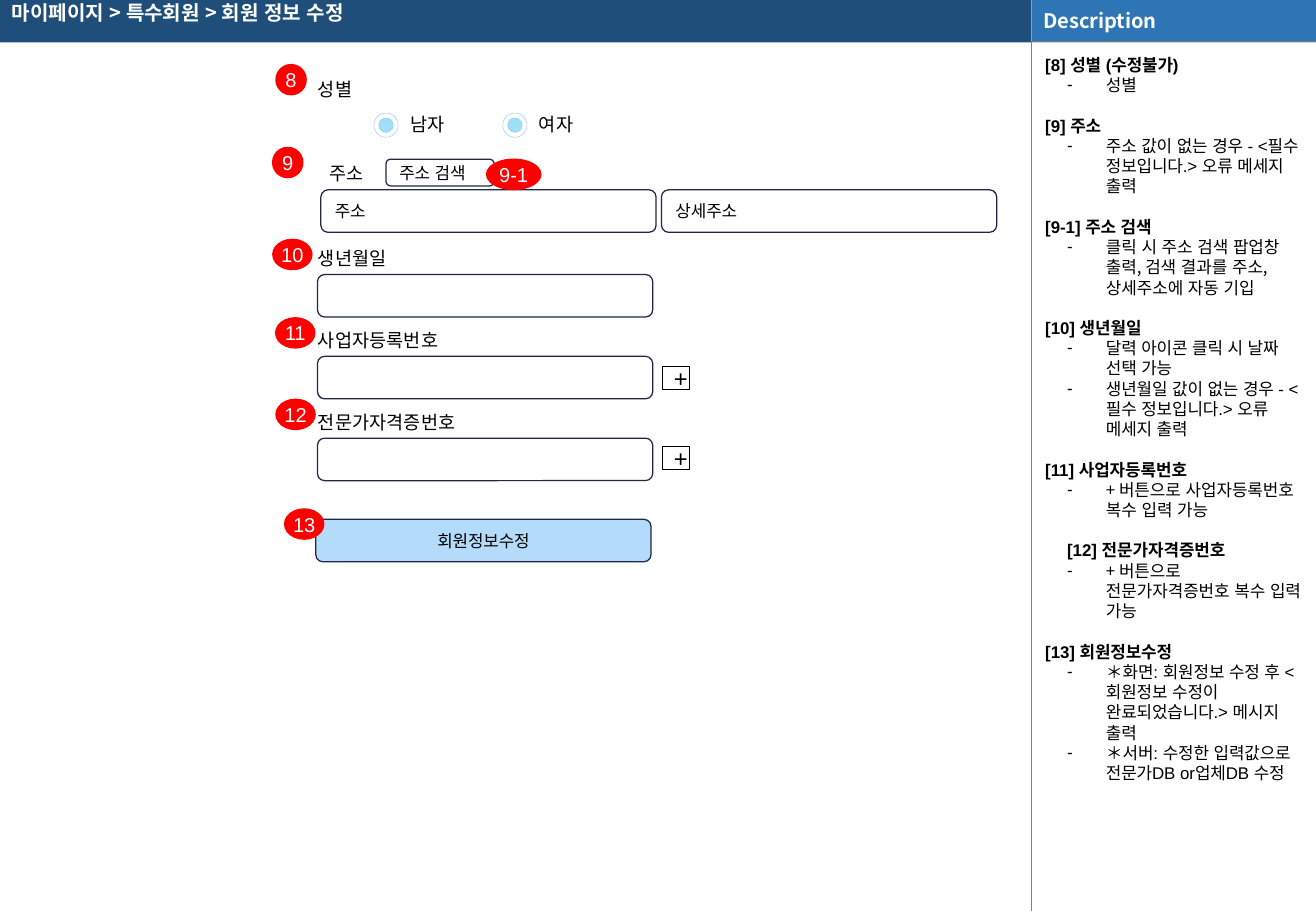
from lxml.etree import SubElement
from pptx import Presentation
from pptx.dml.color import RGBColor
from pptx.enum.lang import MSO_LANGUAGE_ID
from pptx.enum.shapes import MSO_CONNECTOR, MSO_SHAPE
from pptx.enum.text import MSO_ANCHOR, PP_ALIGN
from pptx.oxml.ns import qn
from pptx.util import Pt

ARIAL = "Arial"
NOTO = "Noto Sans CJK KR"

BLACK = RGBColor(0x00, 0x00, 0x00)
WHITE = RGBColor(0xFF, 0xFF, 0xFF)
RED = RGBColor(0xFF, 0x00, 0x00)
GRAY = RGBColor(0x7F, 0x7F, 0x7F)
NAVY = RGBColor(0x1E, 0x4E, 0x79)
BLUE = RGBColor(0x2E, 0x75, 0xB5)
OUTLINE = RGBColor(0x21, 0x27, 0x45)
BUTTON = RGBColor(0xB4, 0xDC, 0xFA)
RADIO_LINE = RGBColor(0x8C, 0xC9, 0xF7)
RADIO_FILL = RGBColor(0x9E, 0xE0, 0xF8)

SLIDE_WIDTH, SLIDE_HEIGHT = 780, 540
PANEL_LEFT, HEADER_HEIGHT = 611.3, 25.2
FIELD_WIDTH, FIELD_HEIGHT = 198.7, 25.2
FORM_TOP, FORM_STEP = 139.7, 48.5
LINE_HEIGHT = 12

# Number, title, title font, left indent, item font, items
DESCRIPTION = [
    ("[8] ", "성별 (수정불가)", ARIAL, 0, ARIAL, ["성별"]),
    ("[9] ", "주소", ARIAL, 0, ARIAL,
     ["주소 값이 없는 경우 - <필수 정보입니다.> 오류 메세지 출력"]),
    ("[9-1] ", "주소 검색", ARIAL, 0, NOTO,
     ["클릭 시 주소 검색 팝업창 출력, 검색 결과를 주소, 상세주소에 자동 기입"]),
    ("[10] ", "생년월일", NOTO, 0, ARIAL,
     ["달력 아이콘 클릭 시 날짜 선택 가능",
      "생년월일 값이 없는 경우 - <필수 정보입니다.> 오류 메세지 출력"]),
    ("[11] ", "사업자등록번호", NOTO, 0, NOTO,
     ["+ 버튼으로 사업자등록번호 복수 입력 가능"]),
    ("[12] ", "전문가자격증번호", NOTO, 13, NOTO,
     ["+ 버튼으로 전문가자격증번호 복수 입력 가능"]),
    ("[13] ", "회원정보수정", ARIAL, 0, ARIAL,
     ["＊화면: 회원정보 수정 후 <회원정보 수정이 완료되었습니다.> 메시지 출력",
      "＊서버: 수정한 입력값으로 전문가DB or업체DB 수정"]),
]

# Text, left, top, width
BADGES = [
    ("8", 163.2, 37.9, 18.7),
    ("9", 161.2, 87, 18.7),
    ("9-1", 288, 94, 33),
    ("10", 161.3, 141.5, 24),
    ("11", 163, 188, 24),
    ("12", 163.2, 236.3, 24),
    ("13", 168.3, 301.3, 24),
]


def write_text(paragraph, text, size=10, font=ARIAL, color=BLACK, bold=False):
    run = paragraph.add_run()
    run.text = text
    run.font.size = Pt(size)
    run.font.name = font
    run.font.bold = bold
    run.font.color.rgb = color
    run.font.language_id = MSO_LANGUAGE_ID.KOREAN
    east_asian = SubElement(run.font._element, qn("a:ea"))
    east_asian.set("typeface", font)


def prepare_frame(shape, anchor, margin_x, margin_y):
    """Set wrapping, anchor and margins; return the first paragraph."""
    frame = shape.text_frame
    frame.word_wrap = True
    frame.vertical_anchor = anchor
    frame.margin_left = frame.margin_right = Pt(margin_x)
    frame.margin_top = frame.margin_bottom = Pt(margin_y)
    return frame.paragraphs[0]


def add_box(slide, kind, left, top, width, height, fill=None, line=None,
            line_width=0.75, text="", align=PP_ALIGN.LEFT, margins=(7.2, 7.2),
            **text_format):
    shape = slide.shapes.add_shape(kind, Pt(left), Pt(top), Pt(width), Pt(height))
    shape.shadow.inherit = False
    if fill is None:
        shape.fill.background()
    else:
        shape.fill.solid()
        shape.fill.fore_color.rgb = fill
    if line is None:
        shape.line.fill.background()
    else:
        shape.line.color.rgb = line
        shape.line.width = Pt(line_width)
    if text:
        paragraph = prepare_frame(shape, MSO_ANCHOR.MIDDLE, *margins)
        paragraph.alignment = align
        write_text(paragraph, text, **text_format)


def add_label(slide, text, left, top, width, height=28, anchor=MSO_ANCHOR.TOP,
              margin_y=7.2, spacing=1.0, size=11, **text_format):
    box = slide.shapes.add_textbox(Pt(left), Pt(top), Pt(width), Pt(height))
    paragraph = prepare_frame(box, anchor, 7.2, margin_y)
    paragraph.line_spacing = spacing
    write_text(paragraph, text, size=size, **text_format)


def add_field(slide, left, top, width=FIELD_WIDTH, height=FIELD_HEIGHT,
              fill=WHITE, **options):
    add_box(slide, MSO_SHAPE.ROUNDED_RECTANGLE, left, top, width, height,
            fill=fill, line=OUTLINE, **options)


def add_badge(slide, text, left, top, width):
    add_box(slide, MSO_SHAPE.OVAL, left, top, width, 18.7, fill=RED, text=text,
            align=PP_ALIGN.CENTER, margins=(0, 0), size=11.9, color=WHITE)


def add_radio(slide, text, left):
    for inset, fill in ((0, None), (2.9, RADIO_FILL)):
        side = 14.4 - 2 * inset
        add_box(slide, MSO_SHAPE.OVAL, left + inset, 67 + inset, side, side,
                fill=fill, line=RADIO_LINE, line_width=0.25)
    add_label(slide, text, left + 14.4, 60.5, 40.3)


def add_plus_button(slide, top):
    add_box(slide, MSO_SHAPE.RECTANGLE, 392.4, top, 15.9, 13.7, fill=WHITE,
            line=BLACK, line_width=0.25, text="+", align=PP_ALIGN.CENTER,
            margins=(7.2, 3.6), size=14)


def add_vertical_line(slide, top, bottom, color):
    line = slide.shapes.add_connector(MSO_CONNECTOR.STRAIGHT, Pt(PANEL_LEFT), Pt(top),
                                      Pt(PANEL_LEFT), Pt(bottom))
    line.line.color.rgb = color
    line.line.width = Pt(0.75)
    SubElement(line._element.spPr, qn("a:effectLst"))


def indent_paragraph(paragraph, left, hanging=0, bullet=None):
    properties = paragraph._p.get_or_add_pPr()
    properties.set("marL", str(Pt(left)))
    properties.set("indent", str(Pt(-hanging)))
    if bullet:
        color = SubElement(SubElement(properties, qn("a:buClr")), qn("a:srgbClr"))
        color.set("val", str(BLACK))
        SubElement(properties, qn("a:buFont")).set("typeface", ARIAL)
        SubElement(properties, qn("a:buChar")).set("char", bullet)


def add_header(slide):
    add_box(slide, MSO_SHAPE.RECTANGLE, 0, 0, PANEL_LEFT, HEADER_HEIGHT, fill=NAVY)
    panel_width = SLIDE_WIDTH - PANEL_LEFT
    add_box(slide, MSO_SHAPE.RECTANGLE, PANEL_LEFT, 0, panel_width, HEADER_HEIGHT, fill=GRAY)
    add_vertical_line(slide, 0, HEADER_HEIGHT, WHITE)
    add_vertical_line(slide, 24.5, SLIDE_HEIGHT, GRAY)
    title_format = dict(size=11.9, font=NOTO, color=WHITE, bold=True)
    add_box(slide, MSO_SHAPE.RECTANGLE, PANEL_LEFT, 0, panel_width, 24.5, fill=BLUE,
            text="Description", margins=(7.2, 3.6), **title_format)
    add_label(slide, "마이페이지 > 특수회원 > 회원 정보 수정", 0, -4.3, 594, HEADER_HEIGHT,
              anchor=MSO_ANCHOR.MIDDLE, margin_y=3.6, spacing=0.9, **title_format)


def add_description(slide):
    box = slide.shapes.add_textbox(Pt(612.4), Pt(25.2), Pt(167.6), Pt(475))
    paragraph = prepare_frame(box, MSO_ANCHOR.TOP, 7.2, 7.2)
    for index, (number, title, title_font, left, item_font, items) in enumerate(DESCRIPTION):
        if index:
            paragraph = box.text_frame.add_paragraph()
            paragraph.space_before = Pt(LINE_HEIGHT)
        paragraph.line_spacing = Pt(LINE_HEIGHT)
        indent_paragraph(paragraph, left)
        write_text(paragraph, number, bold=True)
        write_text(paragraph, title, font=title_font, bold=True)
        for item in items:
            paragraph = box.text_frame.add_paragraph()
            paragraph.line_spacing = Pt(LINE_HEIGHT)
            indent_paragraph(paragraph, 36, 23, bullet="-")
            write_text(paragraph, item, font=item_font)


def add_form(slide):
    add_label(slide, "성별", 181.4, 32.4, 395, 34.6, spacing=1.5)
    add_radio(slide, "남자", 221.6)
    add_radio(slide, "여자", 298)
    add_label(slide, "주소", 188, 89.3, 53.3)
    add_field(slide, 190.2, 112.5, text="주소")
    add_field(slide, 392.1, 112.5, text="상세주소")
    add_field(slide, 228.8, 94.4, 64.1, 15.8, fill=None, text="주소 검색")
    for row, label in enumerate(("생년월일", "사업자등록번호", "전문가자격증번호")):
        top = FORM_TOP + row * FORM_STEP
        add_label(slide, label, 181.4, top, 368)
        add_field(slide, 188.2, top + 23)
    for top in (217, 264.7):
        add_plus_button(slide, top)
    add_field(slide, 187.2, 307.8, fill=BUTTON, text="회원정보수정", align=PP_ALIGN.CENTER)
    for badge in BADGES:
        add_badge(slide, *badge)


def main():
    presentation = Presentation()
    presentation.slide_width = Pt(SLIDE_WIDTH)
    presentation.slide_height = Pt(SLIDE_HEIGHT)
    slide = presentation.slides.add_slide(presentation.slide_layouts[6])
    add_header(slide)
    add_description(slide)
    add_form(slide)
    presentation.save("out.pptx")


if __name__ == "__main__":
    main()
